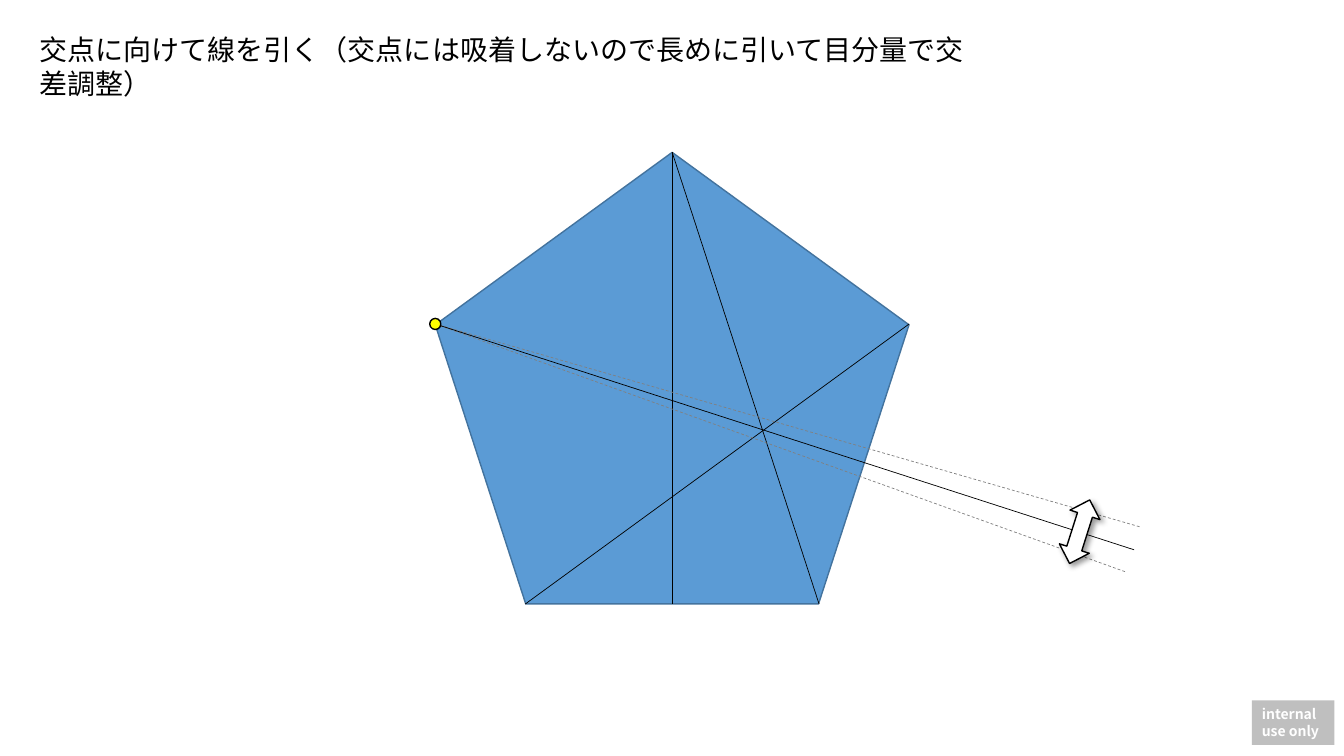
from lxml import etree
from pptx import Presentation
from pptx.dml.color import RGBColor
from pptx.enum.dml import MSO_LINE
from pptx.enum.shapes import MSO_CONNECTOR, MSO_SHAPE
from pptx.enum.text import MSO_ANCHOR, MSO_AUTO_SIZE, PP_ALIGN
from pptx.oxml.ns import qn
from pptx.util import Cm, Pt

STRAIGHT = MSO_CONNECTOR.STRAIGHT
DASH = MSO_LINE.DASH
RECTANGLE = MSO_SHAPE.RECTANGLE
PENTAGON = MSO_SHAPE.REGULAR_PENTAGON
OVAL = MSO_SHAPE.OVAL
UP_DOWN_ARROW = MSO_SHAPE.UP_DOWN_ARROW
TOP = MSO_ANCHOR.TOP
FIT_SHAPE = MSO_AUTO_SIZE.SHAPE_TO_FIT_TEXT
LEFT = PP_ALIGN.LEFT

FONT = "Noto Sans CJK JP"
BLACK = RGBColor(0, 0, 0)
WHITE = RGBColor(255, 255, 255)
GREY = RGBColor(0x80, 0x80, 0x80)
LABEL_GREY = RGBColor(0xBF, 0xBF, 0xBF)
BLUE = RGBColor(0x5B, 0x9B, 0xD5)
DARK_BLUE = RGBColor(0x43, 0x73, 0x9E)
YELLOW = RGBColor(255, 255, 0)


def add_text(sp, text, size, color=BLACK, bold=False, wrap=True):
    """Fill a shape with left-aligned text, one paragraph per line."""
    tf = sp.text_frame
    tf.text = text
    tf.word_wrap = wrap
    tf.auto_size = FIT_SHAPE
    tf.vertical_anchor = TOP
    for p in tf.paragraphs:
        p.alignment = LEFT
        p.line_spacing = Pt(size * 1.2)
        for r in p.runs:
            r.font.name = FONT
            r.font.size = Pt(size)
            r.font.bold = bold
            r.font.color.rgb = color
            ea = etree.SubElement(r.font._element, qn("a:ea"))
            ea.set("typeface", FONT)


def add_figure(s, kind, box, fill, line=None):
    """Add a flat preset shape in a box given in centimetres."""
    sp = s.shapes.add_shape(kind, *map(Cm, box))
    sp.shadow.inherit = False
    sp.fill.solid()
    sp.fill.fore_color.rgb = fill
    if line is None:
        sp.line.fill.background()
    else:
        sp.line.color.rgb = line
        sp.line.width = Pt(1)
    return sp


def add_line(s, start, end, color=BLACK, dash=None):
    """Add a thin straight line between two points in centimetres."""
    cx = s.shapes.add_connector(STRAIGHT, *map(Cm, (*start, *end)))
    cx.line.color.rgb = color
    cx.line.width = Pt(0.5)
    if dash is not None:
        cx.line.dash_style = dash
    etree.SubElement(cx._element.spPr, qn("a:effectLst"))


def add_shadow(sp):
    """Give a shape a soft shadow to its lower right."""
    effects = sp._element.spPr.find(qn("a:effectLst"))
    shadow = etree.SubElement(effects, qn("a:outerShdw"), blurRad=str(Pt(4)),
                              dist=str(Pt(3)), dir="2700000", algn="tl", rotWithShape="0")
    color = etree.SubElement(shadow, qn("a:srgbClr"), val=str(BLACK))
    etree.SubElement(color, qn("a:alpha"), val="40000")


def add_title(s, box, text):
    """Place and format the title placeholder."""
    title = s.shapes.title
    title.left, title.top, title.width, title.height = map(Cm, box)
    add_text(title, text, 20)


def add_label(s, box, text):
    """Add the grey confidentiality label."""
    sp = add_figure(s, RECTANGLE, box, LABEL_GREY)
    add_text(sp, text, 10, color=WHITE, bold=True, wrap=False)


def add_pentagon(s, box):
    """Draw the pentagon with its inner lines and the swinging line."""
    x, y, w, h = box

    def at(fx, fy):
        """Return the point at fractions of the box."""
        return x + fx * w, y + fy * h

    apex, base_middle = at(0.5, 0), at(0.5, 1)
    base_left, base_right = at(0.19, 1), at(0.81, 1)
    side_left, side_right = at(0, 0.38), at(1, 0.38)

    add_figure(s, PENTAGON, box, BLUE, DARK_BLUE)
    for start, end in ((apex, base_middle), (apex, base_right), (base_left, side_right)):
        add_line(s, start, end)

    for end in (at(1.46, 0.93), at(1.49, 0.83)):
        add_line(s, side_left, end, GREY, DASH)
    add_line(s, side_left, at(1.475, 0.88))

    arrow_w, arrow_h = 0.79, 1.68
    arrow_x, arrow_y = at(1.36, 0.84)
    arrow = add_figure(s, UP_DOWN_ARROW,
                       (arrow_x - arrow_w / 2, arrow_y - arrow_h / 2, arrow_w, arrow_h),
                       WHITE, BLACK)
    arrow.rotation = 17.6
    add_shadow(arrow)

    dot = 0.28
    add_figure(s, OVAL, (side_left[0] - dot / 2, side_left[1] - dot / 2, dot, dot),
               YELLOW, BLACK)


prs = Presentation()
prs.slide_width, prs.slide_height = Cm(33.87), Cm(19.05)
s = prs.slides.add_slide(prs.slide_layouts[5])
add_label(s, (31.55, 17.65, 2.08, 1.12), "internal\nuse only")
add_title(s, (0.74, 0.69, 24.28, 1.12),
          "交点に向けて線を引く（交点には吸着しないので長めに引いて目分量で交差調整）")
add_pentagon(s, (10.97, 3.84, 11.94, 11.38))
prs.save("out.pptx")
